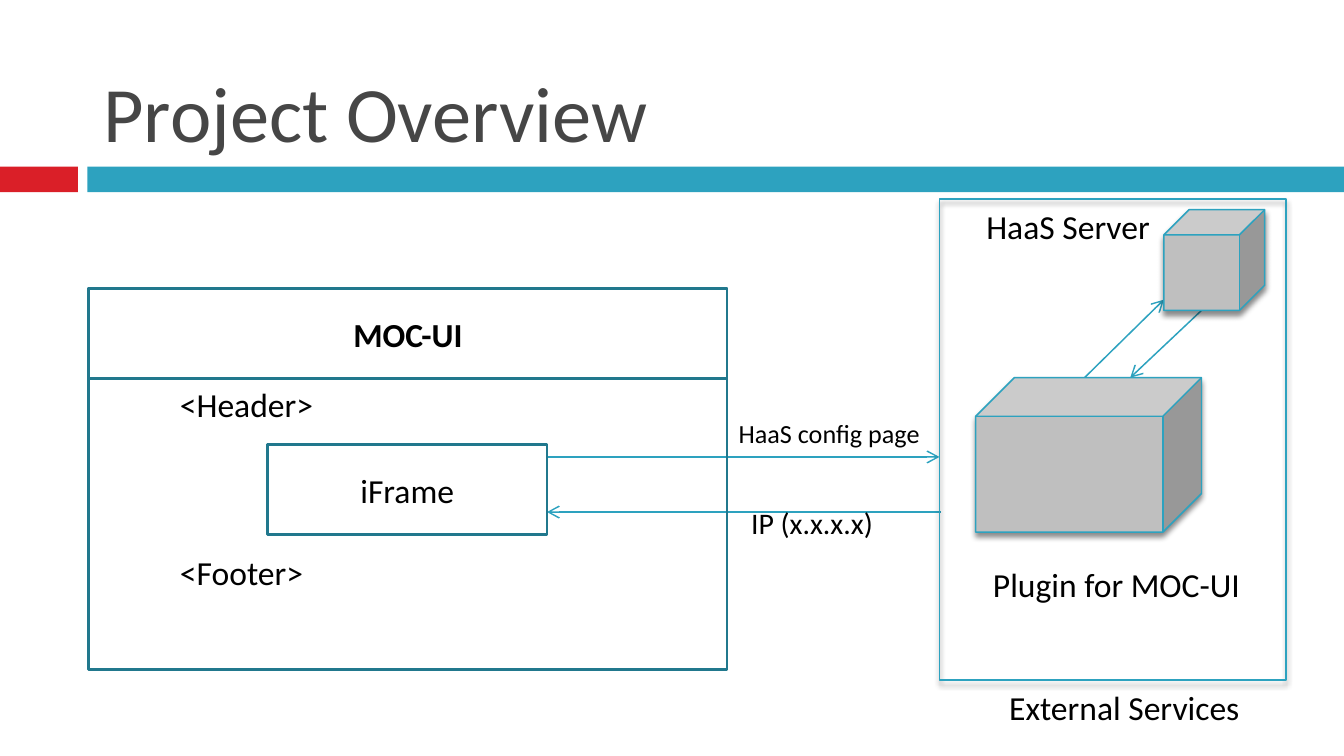
from dataclasses import dataclass
from typing import Optional

import pptx
import pptx.dml.color
import pptx.enum.shapes
import pptx.enum.text
import pptx.oxml
import pptx.oxml.ns
import pptx.util
from pptx.util import Inches

SHAPE = pptx.enum.shapes.MSO_SHAPE
ALIGN = pptx.enum.text.PP_ALIGN
ANCHOR = pptx.enum.text.MSO_ANCHOR
A_NS = pptx.oxml.ns.nsdecls("a")


@dataclass(frozen=True)
class Theme:
    font: str = "Calibri"
    red: str = "DA1F28"
    teal: str = "2DA2BF"
    dark_teal: str = "21788D"
    gray: str = "BFBFBF"
    title: str = "464646"
    text: str = "000000"
    title_size: int = 42
    body_size: int = 18
    ip_size: int = 16
    small_size: int = 14
    frame_line: float = 1.5
    thin_line: float = 0.79


THEME = Theme()


@dataclass(frozen=True)
class Box:
    left: float
    top: float
    width: float
    height: float
    kind: SHAPE = SHAPE.RECTANGLE
    fill: Optional[str] = None
    line: Optional[str] = None
    line_width: float = THEME.thin_line
    shadow: bool = False
    text: str = ""
    bold: bool = False


@dataclass(frozen=True)
class Arrow:
    x1: float
    y1: float
    x2: float
    y2: float


@dataclass(frozen=True)
class Label:
    text: str
    left: float
    top: float
    width: float
    height: float = 0.4
    size: int = THEME.body_size
    align: ALIGN = ALIGN.LEFT
    wrap: bool = True


def rgb(value: str) -> pptx.dml.color.RGBColor:
    return pptx.dml.color.RGBColor.from_string(value)


def place(sp, left: float, top: float, width: float, height: float) -> None:
    bounds = {"left": left, "top": top, "width": width, "height": height}
    for name, value in bounds.items():
        setattr(sp, name, Inches(value))


def write(tf, text: str, size: int, color: str = THEME.text,
          align: ALIGN = ALIGN.LEFT, bold: bool = False) -> None:
    p = tf.paragraphs[0]
    p.alignment = align
    r = p.add_run()
    r.text = text
    formats = {"name": THEME.font, "size": pptx.util.Pt(size), "bold": bold}
    for name, value in formats.items():
        setattr(r.font, name, value)
    r.font.color.rgb = rgb(color)


def add_soft_shadow(sp) -> None:
    """Add a 45% black shadow that falls straight down."""
    effects = sp._element.spPr.find(pptx.oxml.ns.qn("a:effectLst"))
    effects.append(pptx.oxml.parse_xml(
        f'<a:outerShdw {A_NS} blurRad="38100" dist="30480" dir="5400000" '
        'rotWithShape="0"><a:srgbClr val="000000"><a:alpha val="45000"/>'
        '</a:srgbClr></a:outerShdw>'))


def draw_box(s, box: Box) -> None:
    sp = s.shapes.add_shape(box.kind, 0, 0, 0, 0)
    place(sp, box.left, box.top, box.width, box.height)
    if box.fill:
        sp.fill.solid()
        sp.fill.fore_color.rgb = rgb(box.fill)
    else:
        sp.fill.background()
    if box.line:
        sp.line.color.rgb = rgb(box.line)
        sp.line.width = pptx.util.Pt(box.line_width)
    else:
        sp.line.fill.background()
    sp.shadow.inherit = False
    if box.shadow:
        add_soft_shadow(sp)
    if box.text:
        sp.text_frame.vertical_anchor = ANCHOR.MIDDLE
        write(sp.text_frame, box.text, THEME.body_size,
              align=ALIGN.CENTER, bold=box.bold)


def draw_arrow(s, arrow: Arrow) -> None:
    ends = (Inches(v) for v in (arrow.x1, arrow.y1, arrow.x2, arrow.y2))
    cxn = s.shapes.add_connector(
        pptx.enum.shapes.MSO_CONNECTOR.STRAIGHT, *ends)
    cxn.line.color.rgb = rgb(THEME.teal)
    cxn.line.width = pptx.util.Pt(THEME.thin_line)
    cxn.line._get_or_add_ln().append(
        pptx.oxml.parse_xml(f'<a:tailEnd {A_NS} type="arrow"/>'))
    cxn._element.spPr.append(pptx.oxml.parse_xml(f"<a:effectLst {A_NS}/>"))


def draw_label(s, label: Label) -> None:
    sp = s.shapes.add_textbox(0, 0, 0, 0)
    place(sp, label.left, label.top, label.width, label.height)
    sp.text_frame.word_wrap = label.wrap
    write(sp.text_frame, label.text, label.size, align=label.align)


def draw_title(s, text: str) -> None:
    sp = s.shapes.title
    place(sp, 0.67, 0.13, 8.92, 1.1)
    sp.text_frame.vertical_anchor = ANCHOR.BOTTOM
    write(sp.text_frame, text, THEME.title_size, THEME.title)


FRAME = {"line": THEME.dark_teal, "line_width": THEME.frame_line}
RAISED = {"line": THEME.teal, "shadow": True}
CUBE = {"kind": SHAPE.CUBE, "fill": THEME.gray, **RAISED}

BARS = [
    Box(0, 1.24, 0.58, 0.19, fill=THEME.red),
    Box(0.65, 1.24, 9.35, 0.19, fill=THEME.teal),
]
ARROWS = [
    Arrow(4.07, 3.4, 6.99, 3.4),
    Arrow(7, 3.81, 4.07, 3.81),
    Arrow(8.07, 2.81, 8.66, 2.23),
    Arrow(8.94, 2.31, 8.41, 2.81),
]
BOXES = [
    Box(0.66, 2.15, 4.75, 2.83, **FRAME),
    Box(0.66, 2.15, 4.75, 0.67, text="MOC-UI", bold=True, **FRAME),
    Box(1.99, 3.31, 2.08, 0.67, text="iFrame", **FRAME),
    Box(6.99, 1.48, 2.58, 3.58, **RAISED),
    Box(8.66, 1.56, 0.75, 0.75, **CUBE),
    Box(7.26, 2.81, 1.68, 1.15, **CUBE),
]
LABELS = [
    Label("<Header>", 1.24, 2.81, 1.42),
    Label("<Footer>", 1.24, 4.06, 1.25),
    Label("HaaS Server", 7.24, 1.48, 1.49, wrap=False),
    Label("Plugin for MOC-UI", 7.29, 4.15, 2.06, wrap=False),
    Label("External Services", 7.41, 5.06, 1.92, wrap=False),
    Label("IP (x.x.x.x)", 5.49, 3.71, 1.34, 0.37, THEME.ip_size),
    Label("HaaS config page", 5.17, 3.06, 2, 0.34, THEME.small_size,
          ALIGN.CENTER),
]


def main() -> None:
    prs = pptx.Presentation()
    prs.slide_width = Inches(10)
    prs.slide_height = prs.slide_width * 9 // 16
    s = prs.slides.add_slide(prs.slide_layouts.get_by_name("Title Only"))
    draw_title(s, "Project Overview")
    for bar in BARS:
        draw_box(s, bar)
    for arrow in ARROWS:
        draw_arrow(s, arrow)
    for box in BOXES:
        draw_box(s, box)
    for label in LABELS:
        draw_label(s, label)
    prs.save("out.pptx")


if __name__ == "__main__":
    main()
